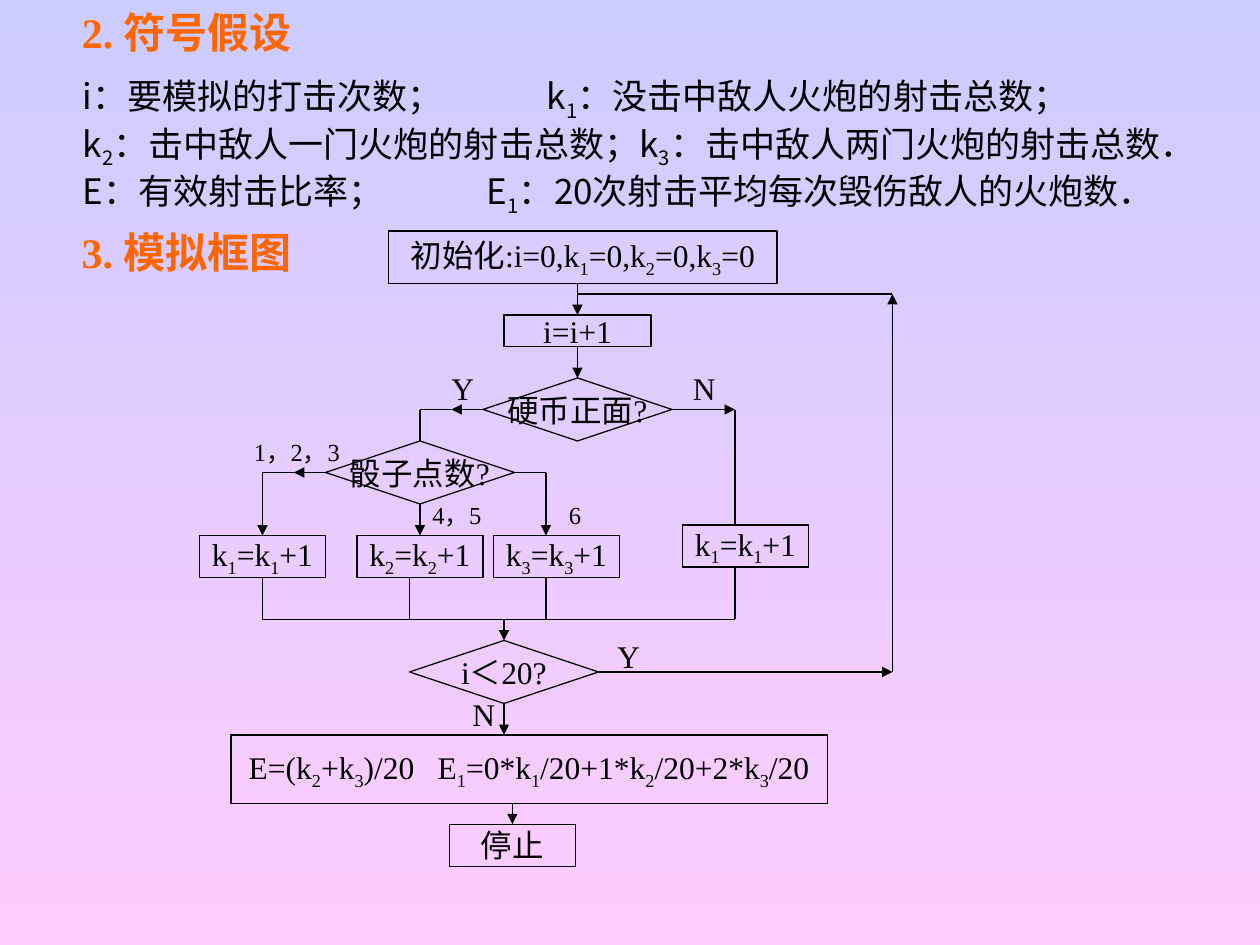
from dataclasses import dataclass
from typing import Any, NamedTuple

from lxml.etree import SubElement
from pptx import Presentation
from pptx.dml.color import RGBColor
from pptx.enum.shapes import MSO_CONNECTOR, MSO_SHAPE
from pptx.enum.text import MSO_ANCHOR, MSO_AUTO_SIZE, PP_ALIGN
from pptx.oxml.ns import qn
from pptx.util import Inches, Pt


class TextStyle(NamedTuple):
    size: int
    color: str
    bold: bool = False
    font: str = "Times New Roman"


@dataclass(frozen=True)
class Theme:
    background: tuple = ("CCCCFF", "FFCCFF")
    ink: str = "000000"
    line_width: float = 0.75
    asian_font: str = "Noto Sans CJK SC"
    heading: TextStyle = TextStyle(24, "FF6600", True)
    definition: TextStyle = TextStyle(20, "000000", font="Noto Sans CJK SC")
    flow: TextStyle = TextStyle(18, "000000")
    small: TextStyle = TextStyle(14, "000000")


class Area(NamedTuple):
    column: float
    row: float
    columns: float
    rows: float


class Node(NamedTuple):
    kind: MSO_SHAPE
    area: Area
    text: str


class Label(NamedTuple):
    area: Area
    text: str
    style: TextStyle
    wrap: bool = False
    tab: float = 0


class Link(NamedTuple):
    start: tuple
    end: tuple
    arrow: bool = False


THEME = Theme()
COLUMNS, ROWS = 120, 90
WIDTH, HEIGHT = Inches(10), Inches(7.5)
BOX, PROCESS, DECISION = MSO_SHAPE.RECTANGLE, MSO_SHAPE.FLOWCHART_PROCESS, MSO_SHAPE.FLOWCHART_DECISION
TITLE = Label(Area(6.6, 0, 25, 6), "2. 符号假设", THEME.heading, True)
RESULT = Node(BOX, Area(22, 70, 56.8, 6.5), "E=(k_2+k_3)/20\tE_1=0*k_1/20+1*k_2/20+2*k_3/20")
RESULT_TAB = 18

DEFINITIONS = [
    ("i：要模拟的打击次数；\tk_1：没击中敌人火炮的射击总数；", 44.2),
    ("k_2：击中敌人一门火炮的射击总数；k_3：击中敌人两门火炮的射击总数．", 0),
    ("E：有效射击比率；\tE_1：20次射击平均每次毁伤敌人的火炮数．", 38.5),
]
DEFINITION_AREA = Area(6.7, 6.5, 110.8, 14.9)

NODES = [
    Node(PROCESS, Area(37, 22, 37, 5), "初始化:i=0,k_1=0,k_2=0,k_3=0"),
    Node(BOX, Area(48, 30, 14, 3), "i=i+1"),
    Node(DECISION, Area(46, 36, 18, 6), "硬币正面?"),
    Node(DECISION, Area(31, 42, 18, 6), "骰子点数?"),
    *(Node(BOX, Area(column, row, 12, 4), f"k_{counter}=k_{counter}+1")
      for column, row, counter in [(19, 51, 1), (34, 51, 2), (47, 51, 3), (65, 50, 1)]),
    Node(DECISION, Area(39, 61, 18, 6), "i＜20?"),
    Node(BOX, Area(42.8, 78.5, 12, 4), "停止"),
]

LABELS = [
    Label(Area(6.6, 21, 23.3, 6), "3. 模拟框图", THEME.heading),
    *(Label(Area(column, row, 4.6, 4.8), answer, THEME.flow)
      for column, row, answer in [(41.8, 34.6, "Y"), (64.8, 34.6, "N"), (57.6, 60.1, "Y")]),
    Label(Area(43.8, 65.6, 3.7, 4.8), "N", THEME.flow, True),
    Label(Area(23, 41, 12, 6.8), "1，2，3", THEME.small, True),
    Label(Area(40, 47, 11, 4), "4，5", THEME.small, True),
    Label(Area(53, 47, 3.5, 4), "6", THEME.small),
]

LINKS = [
    Link((55, 27), (55, 30), True),
    Link((55, 33), (55, 36), True),
    Link((46, 39), (43, 39), True),
    Link((43, 39), (40, 39)),
    Link((40, 39), (40, 42)),
    Link((64, 39), (70, 39), True),
    Link((70, 39), (70, 50)),
    Link((31, 45), (28, 45), True),
    Link((28, 45), (25, 45)),
    Link((25, 45), (25, 51), True),
    Link((40, 48), (40, 51), True),
    Link((49, 45), (52, 45)),
    Link((52, 45), (52, 51), True),
    *(Link((column, row), (column, 59)) for column, row in [(25, 55), (39, 55), (52, 55), (70, 54)]),
    Link((25, 59), (70, 59)),
    Link((48, 59), (48, 61), True),
    Link((48, 67), (48, 70), True),
    Link((57, 64), (85, 64), True),
    Link((85, 64), (85, 28), True),
    Link((55, 28), (85, 28)),
    Link((48.8, 76.5), (48.8, 78.5), True),
]


def across(columns: float) -> int:
    return round(WIDTH * columns / COLUMNS)


def down(rows: float) -> int:
    return round(HEIGHT * rows / ROWS)


def bounds(area: Area) -> tuple:
    return across(area.column), down(area.row), across(area.columns), down(area.rows)


def apply(target: Any, values: dict) -> None:
    for name, value in values.items():
        setattr(target, name, value)


def add_run(paragraph: Any, text: str, style: TextStyle, subscript: bool = False) -> None:
    if not text:
        return
    run = paragraph.add_run()
    run.text = text
    apply(run.font, {"size": Pt(style.size), "bold": style.bold, "name": style.font})
    run.font.color.rgb = RGBColor.from_string(style.color)
    properties = run._r.get_or_add_rPr()
    SubElement(properties, qn("a:ea"), typeface=THEME.asian_font)
    if subscript:
        properties.set("baseline", "-25000")


def write(paragraph: Any, text: str, style: TextStyle, align: PP_ALIGN, tab: float = 0) -> None:
    paragraph.alignment = align
    if tab:
        stops = SubElement(paragraph._p.get_or_add_pPr(), qn("a:tabLst"))
        SubElement(stops, qn("a:tab"), pos=str(across(tab)), algn="l")
    first, *rest = text.split("_")
    add_run(paragraph, first, style)
    for piece in rest:
        add_run(paragraph, piece[0], style, True)
        add_run(paragraph, piece[1:], style)


def fill_label(shape: Any, label: Label) -> None:
    apply(shape.text_frame, {"word_wrap": label.wrap, "auto_size": MSO_AUTO_SIZE.NONE,
                             "vertical_anchor": MSO_ANCHOR.TOP})
    write(shape.text_frame.paragraphs[0], label.text, label.style, PP_ALIGN.LEFT, label.tab)


def add_node(slide: Any, node: Node, tab: float = 0) -> None:
    shape = slide.shapes.add_shape(node.kind, *bounds(node.area))
    shape.shadow.inherit = False
    shape.fill.background()
    shape.line.color.rgb = RGBColor.from_string(THEME.ink)
    shape.line.width = Pt(THEME.line_width)
    apply(shape.text_frame, {"word_wrap": bool(tab), "vertical_anchor": MSO_ANCHOR.MIDDLE})
    if tab:
        apply(shape.text_frame, {"margin_left": Inches(0.14), "margin_right": 0})
    align = PP_ALIGN.LEFT if tab else PP_ALIGN.CENTER
    write(shape.text_frame.paragraphs[0], node.text, THEME.flow, align, tab)


def add_link(slide: Any, link: Link) -> None:
    (left, top), (right, bottom) = link.start, link.end
    connector = slide.shapes.add_connector(
        MSO_CONNECTOR.STRAIGHT, across(left), down(top), across(right), down(bottom))
    connector.line.color.rgb = RGBColor.from_string(THEME.ink)
    connector.line.width = Pt(THEME.line_width)
    properties = connector._element.spPr
    if link.arrow:
        SubElement(properties.find(qn("a:ln")), qn("a:tailEnd"), type="triangle")
    SubElement(properties, qn("a:effectLst"))


def add_definitions(slide: Any) -> None:
    frame = slide.shapes.add_textbox(*bounds(DEFINITION_AREA)).text_frame
    frame.word_wrap = False
    for index, (text, tab) in enumerate(DEFINITIONS):
        paragraph = frame.add_paragraph() if index else frame.paragraphs[0]
        write(paragraph, text, THEME.definition, PP_ALIGN.LEFT, tab)


def main() -> None:
    presentation = Presentation()
    apply(presentation, {"slide_width": WIDTH, "slide_height": HEIGHT})
    slide = presentation.slides.add_slide(presentation.slide_layouts[5])
    fill = slide.background.fill
    fill.gradient()
    fill.gradient_angle = 270
    for stop, color in zip(fill.gradient_stops, THEME.background):
        stop.color.rgb = RGBColor.from_string(color)
    title = slide.shapes.title
    apply(title, dict(zip(("left", "top", "width", "height"), bounds(TITLE.area))))
    fill_label(title, TITLE)
    add_definitions(slide)
    for node in NODES:
        add_node(slide, node)
    add_node(slide, RESULT, RESULT_TAB)
    for link in LINKS:
        add_link(slide, link)
    for label in LABELS:
        fill_label(slide.shapes.add_textbox(*bounds(label.area)), label)
    presentation.save("out.pptx")


if __name__ == "__main__":
    main()
